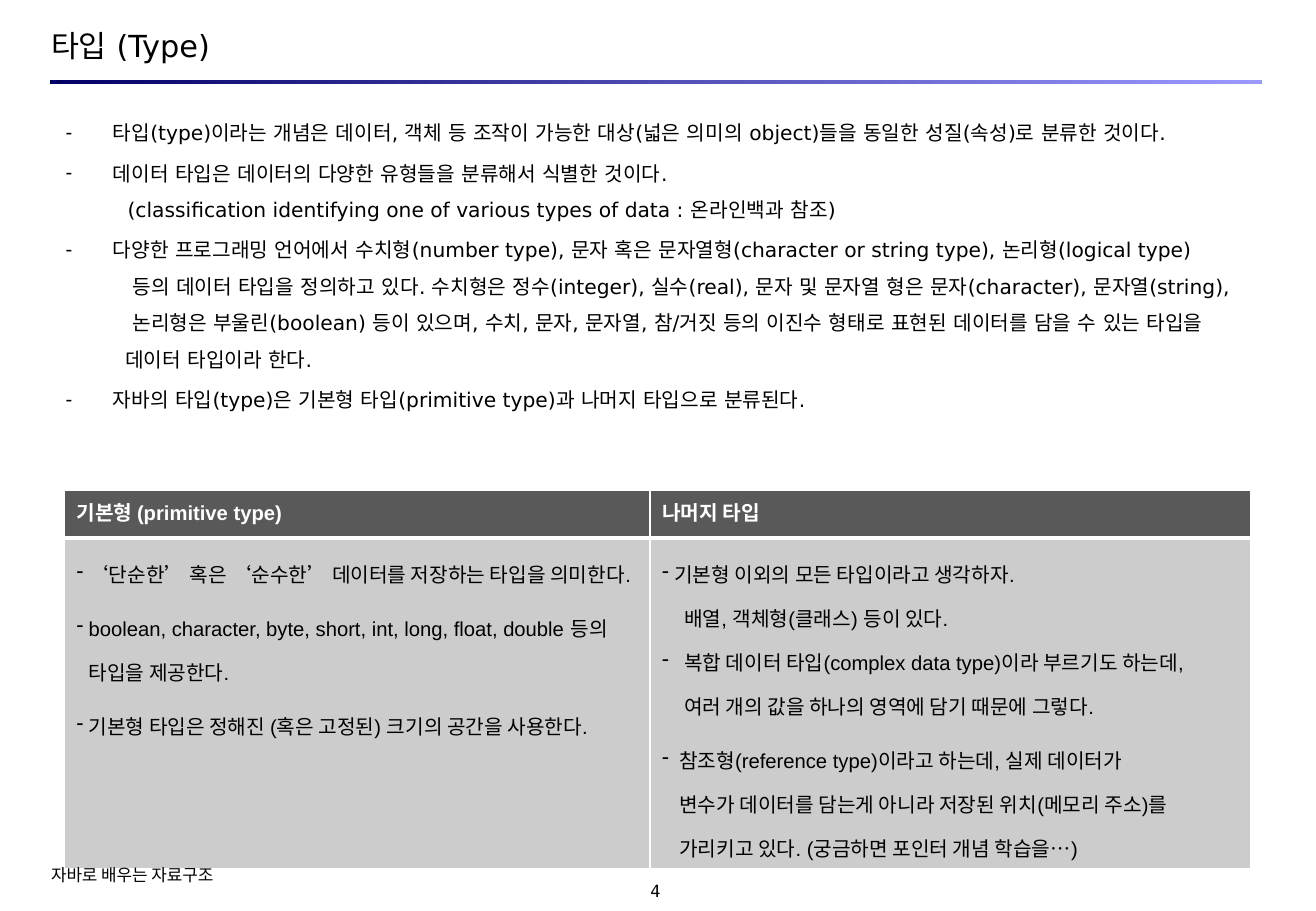
from dataclasses import dataclass

from lxml.etree import SubElement
from pptx import Presentation
from pptx.dml.color import RGBColor
from pptx.enum.shapes import MSO_SHAPE as Shape
from pptx.enum.text import MSO_ANCHOR as Anchor, MSO_AUTO_SIZE as AutoSize, PP_ALIGN as Align
from pptx.oxml import parse_xml
from pptx.oxml.ns import nsdecls, qn
from pptx.util import Inches, Pt


@dataclass(frozen=True)
class Theme:
    ink: str = "000000"
    white: str = "FFFFFF"
    header: str = "595959"
    cell: str = "CCCCCC"
    rule_start: str = "000066"
    rule_end: str = "9999FF"
    title_size: int = 18
    text_size: int = 12
    small_size: int = 10
    sans: str = "DejaVu Sans"
    mono: str = "DejaVu Sans Mono"
    table: str = "Arial"
    korean: str = "Noto Sans CJK KR"


THEME = Theme()


def add_run(paragraph, text, size, latin, east_asian, color=THEME.ink, bold=False):
    paragraph.alignment = paragraph.alignment or Align.LEFT
    run = paragraph.add_run()
    run.text = text
    run.font.size = Pt(size)
    run.font.bold = bold
    run.font.name = latin
    run.font.color.rgb = RGBColor.from_string(color)
    SubElement(run.font._element, qn("a:ea")).set("typeface", east_asian)


def add_lines(frame, lines, before, latin, east_asian):
    """Each line is (bulleted, left margin, first-line indent, text), in inches."""
    for number, (bulleted, margin, indent, text) in enumerate(lines):
        paragraph = frame.add_paragraph() if number else frame.paragraphs[0]
        paragraph.line_spacing = 1.5
        paragraph.space_before = Pt(before if bulleted else 0)
        paragraph.space_after = Pt(0)
        props = paragraph._p.get_or_add_pPr()
        props.set("marL", str(Inches(margin)))
        props.set("indent", str(Inches(indent)))
        if bulleted:
            SubElement(props, qn("a:buChar")).set("char", "-")
        else:
            SubElement(props, qn("a:buNone"))
        add_run(paragraph, text, THEME.text_size, latin, east_asian)


deck = Presentation()
deck.slide_width, deck.slide_height = Inches(10.83), Inches(7.5)
slide = deck.slides.add_slide(deck.slide_layouts[1])

# Title and rule
title, body = slide.placeholders
areas = ((title, 0.22, 0.3, Anchor.MIDDLE), (body, 0.89, 2.9, Anchor.TOP))
for holder, top, height, anchor in areas:
    holder.left, holder.top = Inches(0.42), Inches(top)
    holder.width, holder.height = Inches(9.97), Inches(height)
    frame = holder.text_frame
    frame.margin_left = frame.margin_top = frame.margin_right = frame.margin_bottom = 0
    frame.vertical_anchor = anchor
    frame.auto_size = AutoSize.NONE
    frame.word_wrap = True
add_run(title.text_frame.paragraphs[0], "타입 (Type)", THEME.title_size, THEME.sans, THEME.sans)

rule = slide.shapes.add_shape(Shape.RECTANGLE, Inches(0.41), Inches(0.66), Inches(9.98), Inches(0.03))
rule.shadow.inherit = False
rule.line.fill.background()
rule.fill.gradient()
rule.fill.gradient_angle = 0
for stop, position, color in zip(rule.fill.gradient_stops, (0, 1), (THEME.rule_start, THEME.rule_end)):
    stop.position = position
    stop.color.rgb = RGBColor.from_string(color)

# Explanation
explanation = [
    (True, 0.51, -0.39, "타입(type)이라는 개념은 데이터, 객체 등 조작이 가능한 대상(넓은 의미의 object)들을 동일한 성질(속성)로 분류한 것이다."),
    (True, 0.51, -0.39, "데이터 타입은 데이터의 다양한 유형들을 분류해서 식별한 것이다."),
    (False, 0.47, 0.16, "(classification identifying one of various types of data : 온라인백과 참조)"),
    (True, 0.51, -0.39, "다양한 프로그래밍 언어에서 수치형(number type), 문자 혹은 문자열형(character or string type), 논리형(logical type)"),
    (False, 0.47, 0.2, "등의 데이터 타입을 정의하고 있다. 수치형은 정수(integer), 실수(real), 문자 및 문자열 형은 문자(character), 문자열(string),"),
    (False, 0.47, 0.2, "논리형은 부울린(boolean) 등이 있으며, 수치, 문자, 문자열, 참/거짓 등의 이진수 형태로 표현된 데이터를 담을 수 있는 타입을"),
    (False, 0.47, 0.14, "데이터 타입이라 한다."),
    (True, 0.51, -0.39, "자바의 타입(type)은 기본형 타입(primitive type)과 나머지 타입으로 분류된다."),
]
add_lines(body.text_frame, explanation, 2.4, THEME.sans, THEME.sans)

# Comparison of the two kinds of type
headings = ["기본형 (primitive type)", "나머지 타입"]
primitive = [
    (True, 0.1, -0.1, "‘단순한’ 혹은 ‘순수한’ 데이터를 저장하는 타입을 의미한다."),
    (True, 0.1, -0.1, "boolean, character, byte, short, int, long, float, double 등의"),
    (False, 0.1, 0, "타입을 제공한다."),
    (True, 0.1, -0.1, "기본형 타입은 정해진 (혹은 고정된) 크기의 공간을 사용한다."),
]
others = [
    (True, 0.1, -0.1, "기본형 이외의 모든 타입이라고 생각하자."),
    (False, 0.18, 0, "배열, 객체형(클래스) 등이 있다."),
]
complex_type = [
    (True, 0.18, -0.18, "복합 데이터 타입(complex data type)이라 부르기도 하는데,"),
    (False, 0.18, 0, "여러 개의 값을 하나의 영역에 담기 때문에 그렇다."),
]
reference = [
    (True, 0.14, -0.14, "참조형(reference type)이라고 하는데, 실제 데이터가"),
    (False, 0.14, 0, "변수가 데이터를 담는게 아니라 저장된 위치(메모리 주소)를"),
    (False, 0.14, 0, "가리키고 있다. (궁금하면 포인터 개념 학습을…)"),
]
comparison = slide.shapes.add_table(2, 2, Inches(0.53), Inches(4.04), Inches(9.76), Inches(3.09)).table
for column, width in zip(comparison.columns, (4.82, 4.94)):
    column.width = Inches(width)
for row, height in zip(comparison.rows, (0.39, 2.7)):
    row.height = Inches(height)
for column, heading in enumerate(headings):
    add_run(comparison.cell(0, column).text_frame.paragraphs[0], heading,
            THEME.text_size, THEME.table, THEME.korean, THEME.white, True)
for column, lines in enumerate((primitive, others + complex_type + reference)):
    add_lines(comparison.cell(1, column).text_frame, lines, 6, THEME.table, THEME.korean)
# The complex-type item follows the line above it without a gap
comparison.cell(1, 1).text_frame.paragraphs[len(others)].space_before = Pt(0)

row_styles = ((THEME.header, 1, 3), (THEME.cell, 3, 1))
for row, (color, top_border, bottom_border) in zip(comparison.rows, row_styles):
    for cell in row.cells:
        cell.fill.solid()
        cell.fill.fore_color.rgb = RGBColor.from_string(color)
        props = cell._tc.get_or_add_tcPr()
        for place, (side, width) in enumerate(zip("LRTB", (1, 1, top_border, bottom_border))):
            props.insert(place, parse_xml(
                f'<a:ln{side} {nsdecls("a")} w="{Pt(width)}"><a:solidFill>'
                f'<a:srgbClr val="{THEME.white}"/></a:solidFill></a:ln{side}>'))

# Footer
footers = [
    ("자바로 배우는 자료구조", 0.4, 7.11, 3.09, 0.19, 0.02, Anchor.TOP, Align.LEFT, THEME.korean),
    ("4", 5.06, 7.25, 0.67, 0.17, 0, Anchor.MIDDLE, Align.CENTER, THEME.mono),
]
for text, left, top, width, height, margin, anchor, align, font in footers:
    footer = slide.shapes.add_textbox(Inches(left), Inches(top), Inches(width), Inches(height)).text_frame
    footer.word_wrap = True
    footer.margin_left = footer.margin_right = Inches(margin)
    footer.margin_top = footer.margin_bottom = Inches(margin / 2)
    footer.vertical_anchor = anchor
    footer.paragraphs[0].alignment = align
    add_run(footer.paragraphs[0], text, THEME.small_size, font, font)

deck.save("out.pptx")
